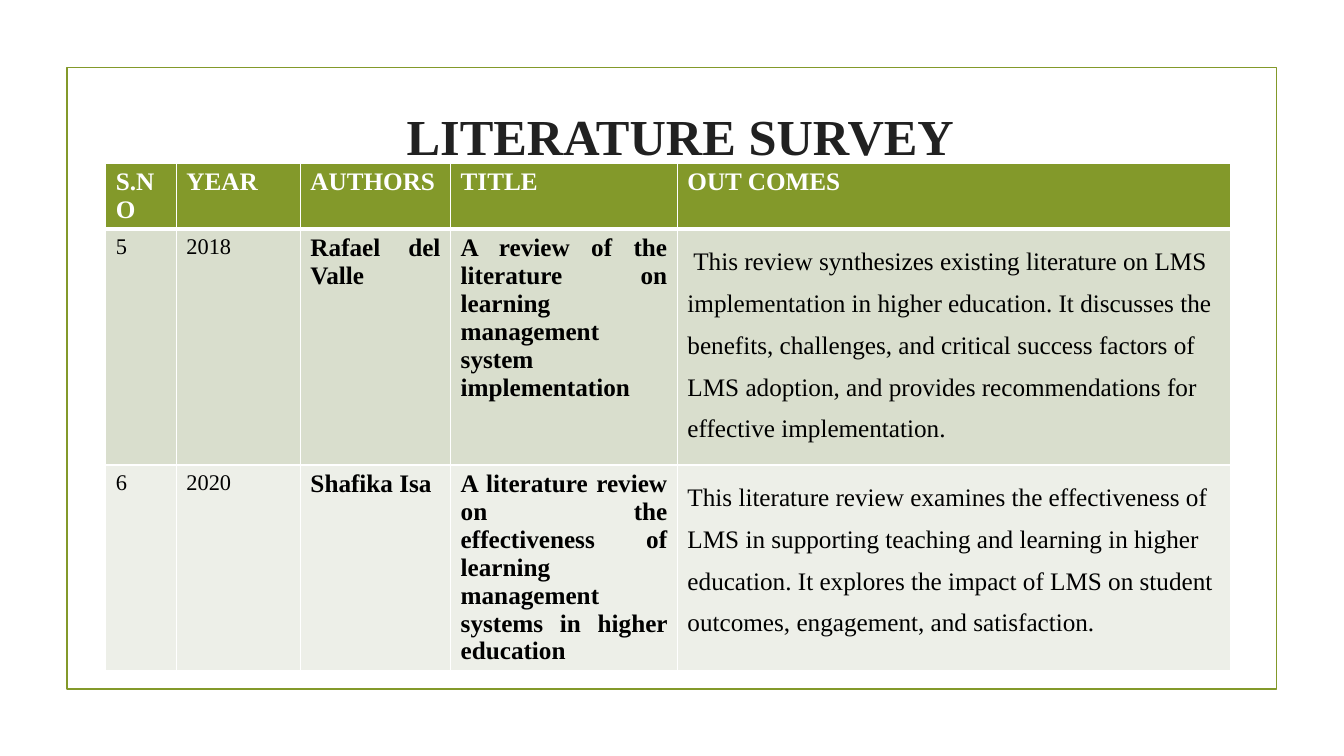
import pptx
import pptx.dml.color
import pptx.enum.shapes
import pptx.enum.text
import pptx.oxml
import pptx.oxml.ns
import pptx.util

Pt = pptx.util.Pt
ALIGN = pptx.enum.text.PP_ALIGN
FONT = "Times New Roman"
GREEN = "83992A"
WHITE = "FFFFFF"
BLACK = "000000"
ROW_FILLS = [GREEN, "D9DECD", "EDEFE8"]
COLUMN_WIDTHS = [50.4, 88.6, 107.3, 162, 395.2]
ROW_HEIGHTS = [43.9, 168.5, 145.4]
ROWS = [
    ["S.NO", "YEAR", "AUTHORS", "TITLE", "OUT COMES"],
    [
        "5", "2018", "Rafael del Valle",
        "A review of the literature on learning management system implementation",
        " This review synthesizes existing literature on LMS implementation in higher "
        "education. It discusses the benefits, challenges, and critical success factors "
        "of LMS adoption, and provides recommendations for effective implementation.",
    ],
    [
        "6", "2020", "Shafika Isa",
        "A literature review on the effectiveness of learning management systems in "
        "higher education",
        "This literature review examines the effectiveness of LMS in supporting teaching "
        "and learning in higher education. It explores the impact of LMS on student "
        "outcomes, engagement, and satisfaction.",
    ],
]


def color(hex_string):
    return pptx.dml.color.RGBColor.from_string(hex_string)


def add_span(para, text, size, hex_string, bold):
    span = para.add_run()
    span.text = text
    span.font.name = FONT
    span.font.size = Pt(size)
    span.font.bold = bold
    span.font.color.rgb = color(hex_string)


def add_frame(page, left, top, width, height):
    frame = page.shapes.add_shape(
        pptx.enum.shapes.MSO_SHAPE.RECTANGLE, Pt(left), Pt(top), Pt(width), Pt(height))
    frame.shadow.inherit = False
    frame.fill.background()
    frame.line.color.rgb = color(GREEN)
    frame.line.width = Pt(1.25)


def add_title(page, left, top, width, height):
    box = page.shapes.add_textbox(Pt(left), Pt(top), Pt(width), Pt(height))
    text_frame = box.text_frame
    text_frame.word_wrap = True
    text_frame.vertical_anchor = pptx.enum.text.MSO_ANCHOR.TOP
    text_frame.margin_top = Pt(11.2)
    text_frame.margin_left = Pt(79.2)
    para = text_frame.paragraphs[0]
    para.alignment = ALIGN.CENTER
    para.line_spacing = 1.7
    add_span(para, "LITERATURE SURVEY", 36, "212121", True)


def set_borders(cell, row):
    widths = {"L": 1, "R": 1, "T": 3 if row == 1 else 1, "B": 3 if row == 0 else 1}
    properties = cell._tc.get_or_add_tcPr()
    for side, width in widths.items():
        properties.append(pptx.oxml.parse_xml(
            f'<a:ln{side} {pptx.oxml.ns.nsdecls("a")} w="{Pt(width)}">'
            f'<a:solidFill><a:srgbClr val="{WHITE}"/></a:solidFill></a:ln{side}>'))


def fill_cell(cell, row, column, text):
    set_borders(cell, row)
    cell.fill.solid()
    cell.fill.fore_color.rgb = color(ROW_FILLS[row])
    para = cell.text_frame.paragraphs[0]
    if row == 0:
        add_span(para, text, 18, WHITE, True)
        return
    if column == 4:
        para.line_spacing = 1.5
    else:
        para.alignment = ALIGN.JUSTIFY
    add_span(para, text, 16 if column < 2 else 18, BLACK, column in (2, 3))


def add_survey_table(page, left, top):
    table = page.shapes.add_table(
        len(ROWS), len(COLUMN_WIDTHS), Pt(left), Pt(top),
        Pt(sum(COLUMN_WIDTHS)), Pt(sum(ROW_HEIGHTS))).table
    for column, width in zip(table.columns, COLUMN_WIDTHS):
        column.width = Pt(width)
    for row, height in zip(table.rows, ROW_HEIGHTS):
        row.height = Pt(height)
    for row, texts in enumerate(ROWS):
        for column, text in enumerate(texts):
            fill_cell(table.cell(row, column), row, column, text)


def main():
    deck = pptx.Presentation()
    deck.slide_width = Pt(960)
    deck.slide_height = Pt(540)
    page = deck.slides.add_slide(deck.slide_layouts[6])
    add_frame(page, 47.8, 48.2, 864, 444.2)
    add_survey_table(page, 75.6, 116.6)
    add_title(page, 111.6, 33.8, 676.8, 73.4)
    deck.save("out.pptx")


if __name__ == "__main__":
    main()
